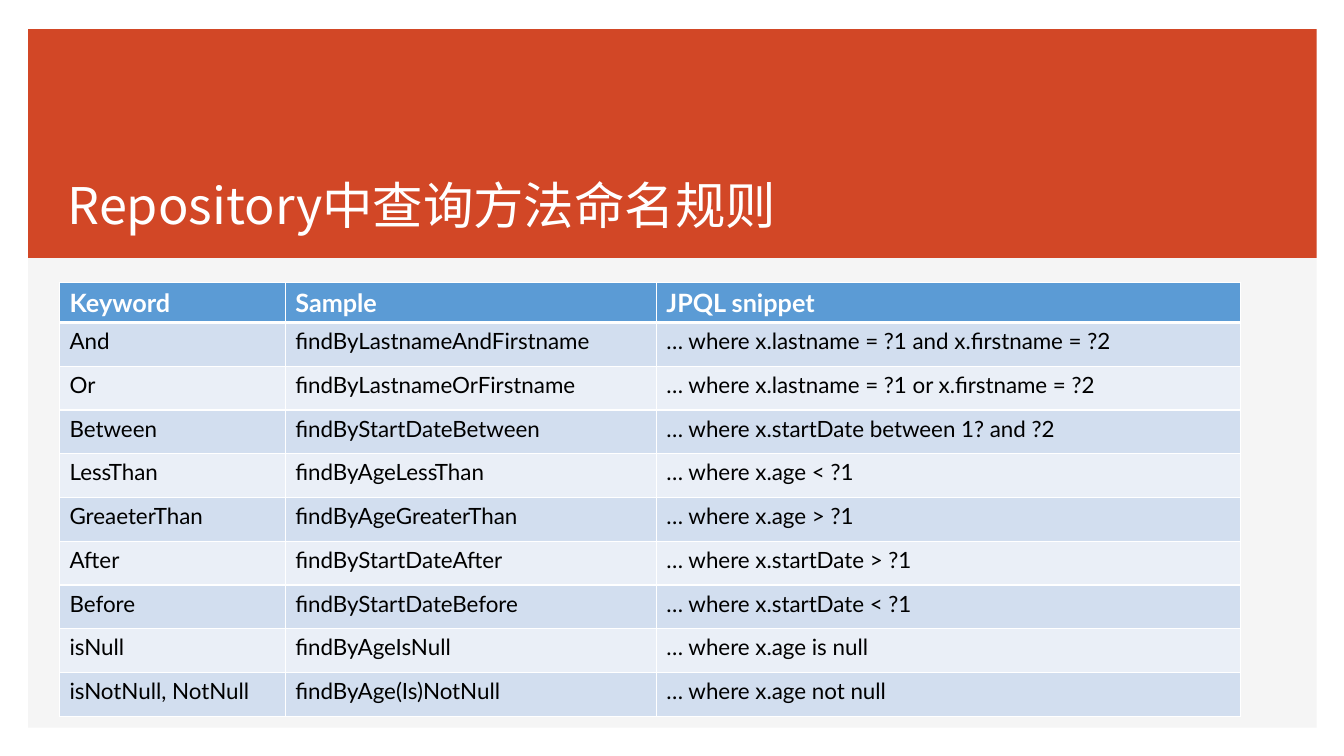
from lxml import etree
from pptx import Presentation, util as u
from pptx.dml.color import RGBColor
from pptx.enum import shapes, text
from pptx.oxml.ns import qn

THEME = {
    "white": "FFFFFF", "black": "000000", "panel": "F5F5F5", "banner": "D24726",
    "head": "5B9BD5", "bands": ("D2DEEF", "EAEFF7"),
    "title_font": "Noto Sans CJK SC", "table_font": "Lato",
    "title_size": 36, "head_size": 18, "body_size": 16,
}
ROWS = [
    ("Keyword", "Sample", "JPQL snippet"),
    ("And", "findByLastnameAndFirstname", "… where x.lastname = ?1 and x.firstname = ?2"),
    ("Or", "findByLastnameOrFirstname", "… where x.lastname = ?1 or x.firstname = ?2"),
    ("Between", "findByStartDateBetween", "… where x.startDate between 1? and ?2"),
    ("LessThan", "findByAgeLessThan", "… where x.age < ?1"),
    ("GreaeterThan", "findByAgeGreaterThan", "… where x.age > ?1"),
    ("After", "findByStartDateAfter", "… where x.startDate > ?1"),
    ("Before", "findByStartDateBefore", "… where x.startDate < ?1"),
    ("isNull", "findByAgeIsNull", "… where x.age is null"),
    ("isNotNull, NotNull", "findByAge(Is)NotNull", "… where x.age not null"),
]

prs = Presentation()
prs.slide_width, prs.slide_height = u.Inches(13.33), u.Inches(7.5)
col, row = prs.slide_width / 100, prs.slide_height / 100


def grid(x, y, w, h):
    """Turn columns and rows of a 100 by 100 grid into slide lengths."""
    return int(x * col), int(y * row), int(w * col), int(h * row)


def add_run(p, words, font, size, color, bold=False):
    r = p.add_run()
    r.text = words
    r.font.name, r.font.size, r.font.bold = font, u.Pt(size), bold
    r.font.color.rgb = RGBColor.from_string(color)
    etree.SubElement(r.font._element, qn("a:ea"), typeface=font)


s = prs.slides.add_slide(prs.slide_layouts[5])

# Background panel and banner
for height, color in ((92.4, THEME["panel"]), (30.27, THEME["banner"])):
    sp = s.shapes.add_shape(shapes.MSO_SHAPE.RECTANGLE, *grid(2.1, 3.87, 95.87, height))
    sp.shadow.inherit = False
    sp.fill.solid()
    sp.fill.fore_color.rgb = RGBColor.from_string(color)
    sp.line.fill.background()

# Title, brought in front of the banner
title = s.shapes.title
s.shapes.element.append(title.element)
title.left, title.top, title.width, title.height = grid(4.28, 22.4, 56.41, 9.33)
tf = title.text_frame
tf.word_wrap = True
tf.auto_size = text.MSO_AUTO_SIZE.NONE
tf.vertical_anchor = text.MSO_ANCHOR.BOTTOM
p = tf.paragraphs[0]
p.alignment = text.PP_ALIGN.LEFT
add_run(p, "Repository中查询方法命名规则", THEME["title_font"], THEME["title_size"], THEME["white"])

# Table of naming rules
widths = (16.8, 27.61, 43.44)
heights = [5.33] + [5.79] * (len(ROWS) - 1)
table = s.shapes.add_table(len(ROWS), len(widths),
                           *grid(4.43, 37.33, sum(widths), sum(heights))).table
for column, width in zip(table.columns, widths):
    column.width = int(width * col)
for i, (words_in_row, height) in enumerate(zip(ROWS, heights)):
    table.rows[i].height = int(height * row)
    is_head = i == 0
    fill = THEME["head"] if is_head else THEME["bands"][(i - 1) % 2]
    size = THEME["head_size"] if is_head else THEME["body_size"]
    color = THEME["white"] if is_head else THEME["black"]
    for j, words in enumerate(words_in_row):
        cell = table.cell(i, j)
        tcPr = cell._tc.get_or_add_tcPr()
        for side in ("L", "R", "T", "B"):
            thick = (is_head and side == "B") or (i == 1 and side == "T")
            ln = etree.SubElement(tcPr, qn(f"a:ln{side}"), w=str(u.Pt(3 if thick else 1)))
            line_fill = etree.SubElement(ln, qn("a:solidFill"))
            etree.SubElement(line_fill, qn("a:srgbClr"), val=THEME["white"])
        cell.fill.solid()
        cell.fill.fore_color.rgb = RGBColor.from_string(fill)
        add_run(cell.text_frame.paragraphs[0], words, THEME["table_font"], size, color, is_head)

prs.save("out.pptx")
